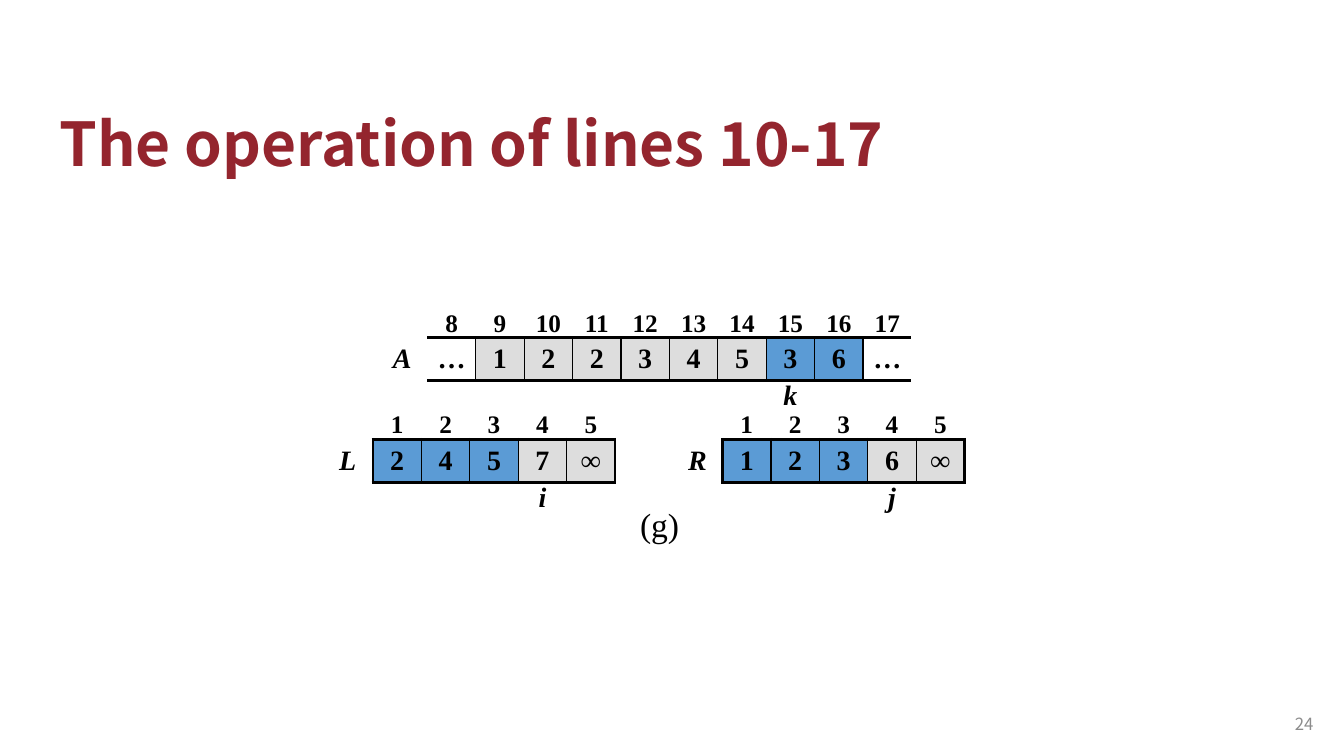
"""Build the slide that shows one step of merging the arrays L and R into A."""
from dataclasses import dataclass

from lxml import etree
from pptx import Presentation, util as u
from pptx.dml.color import RGBColor
from pptx.enum import text
from pptx.oxml.ns import qn


@dataclass(frozen=True)
class Theme:
    """Colours, fonts, type sizes and line widths of the slide."""
    accent: str = "94252E"
    ink: str = "000000"
    muted: str = "8C8C8C"
    grey: str = "DDDDDD"
    blue: str = "5B9BD5"
    sans: str = "Noto Sans CJK SC"
    serif: str = "Times New Roman"
    title: float = 43.2
    step: float = 24
    value: float = 20
    index: float = 18
    page: float = 12
    frame: float = 2.25
    rule: float = 1


@dataclass(frozen=True)
class Array:
    """An array with its first index, cell values, fills and pointer."""
    name: str
    left: float
    top: float
    first: int
    values: str
    fills: str
    pointer: str
    target: int
    closed: bool = True


@dataclass(frozen=True)
class Label:
    """A line of text with its box in centimetres."""
    words: str
    left: float
    top: float
    width: float
    height: float
    font: str
    size: float
    color: str
    align: text.PP_ALIGN = text.PP_ALIGN.LEFT
    anchor: text.MSO_ANCHOR = text.MSO_ANCHOR.TOP
    wrap: bool = True


THEME = Theme()
FILLS = {"g": THEME.grey, "b": THEME.blue}
NO_STYLE = "{2D5ABB26-0587-4C30-8999-92F81FD0307C}"
NAME_WIDTH, CELL_WIDTH = 1.27, 1.22
ROW_HEIGHTS = (0.99, 1.08, 0.99)
ROW_MARGINS = ((0.13, 0), (0.13, 0.13), (0, 0.13))
ROW_ANCHORS = (text.MSO_ANCHOR.BOTTOM, text.MSO_ANCHOR.MIDDLE, text.MSO_ANCHOR.TOP)
ROW_SIZES = (THEME.index, THEME.value, THEME.value)

ARRAYS = (
    Array("A", 9.5, 7.52, 8, "… 1 2 2 3 4 5 3 6 …", "-ggggggbb-", "k", 15, False),
    Array("L", 8.13, 10.08, 1, "2 4 5 7 ∞", "bbbgg", "i", 4),
    Array("R", 16.94, 10.08, 1, "1 2 3 6 ∞", "bbbgg", "j", 4),
)
LABELS = (
    Label("24", 31.83, 17.73, 1.52, 1.02, THEME.sans, THEME.page, THEME.muted,
          text.PP_ALIGN.RIGHT, text.MSO_ANCHOR.MIDDLE),
    Label("(g)", 15.88, 12.57, 1.5, 1.27, THEME.serif, THEME.step, THEME.ink, wrap=False),
)


def style(p, font: str, size: float, color: str, bold: bool = False,
          italic: bool = False) -> None:
    """Format the runs of a paragraph."""
    for r in p.runs:
        r.font.name, r.font.size = font, u.Pt(size)
        r.font.bold, r.font.italic = bold, italic
        r.font.color.rgb = RGBColor.from_string(color)


def set_borders(cell, widths: dict[str, float]) -> None:
    """Draw the given sides of a cell and clear the others."""
    tcPr = cell._tc.get_or_add_tcPr()
    for position, side in enumerate("LRTB"):
        ln = etree.Element(qn(f"a:ln{side}"))
        if side in widths:
            ln.set("w", str(u.Pt(widths[side])))
            fill = etree.SubElement(ln, qn("a:solidFill"))
            etree.SubElement(fill, qn("a:srgbClr"), val=THEME.ink)
        else:
            etree.SubElement(ln, qn("a:noFill"))
        tcPr.insert(position, ln)


def borders(array: Array, row: int, column: int, last: int) -> dict[str, float]:
    """Give the border widths for one cell of an array."""
    outer = {"frame": THEME.frame} if array.closed else {}
    if column == 0:
        return {"R": THEME.frame} if row == 1 and outer else {}
    if row != 1:
        return {"B" if row == 0 else "T": THEME.frame}
    sides = {"T": THEME.frame, "B": THEME.frame}
    for side, edge in (("L", 1), ("R", last)):
        if column != edge:
            sides[side] = THEME.rule
        elif outer:
            sides[side] = THEME.frame
    return sides


def add_array(s, array: Array) -> None:
    """Add an array as a table of indices, values and pointer."""
    values = array.values.split()
    last = len(values)
    indices = range(array.first, array.first + last)
    rows = (
        ["", *map(str, indices)],
        [array.name, *values],
        ["", *(array.pointer if i == array.target else "" for i in indices)],
    )
    frame = s.shapes.add_table(
        len(rows), last + 1, u.Cm(array.left), u.Cm(array.top),
        u.Cm(NAME_WIDTH + CELL_WIDTH * last), u.Cm(sum(ROW_HEIGHTS)))
    tbl = frame.table
    tbl.first_row = tbl.horz_banding = False
    frame._element.find(f".//{qn('a:tableStyleId')}").text = NO_STYLE
    for c, column in enumerate(tbl.columns):
        column.width = u.Cm(CELL_WIDTH if c else NAME_WIDTH)
    for r, words in enumerate(rows):
        tbl.rows[r].height = u.Cm(ROW_HEIGHTS[r])
        for c, word in enumerate(words):
            cell = tbl.cell(r, c)
            cell.margin_top, cell.margin_bottom = map(u.Cm, ROW_MARGINS[r])
            cell.vertical_anchor = ROW_ANCHORS[r]
            cell.text_frame.text = word
            p = cell.text_frame.paragraphs[0]
            p.alignment = text.PP_ALIGN.CENTER
            style(p, THEME.serif, ROW_SIZES[r], THEME.ink, True, r == 2 or c == 0)
            color = FILLS.get(array.fills[c - 1]) if r == 1 and c else None
            if color:
                cell.fill.solid()
                cell.fill.fore_color.rgb = RGBColor.from_string(color)
            else:
                cell.fill.background()
            set_borders(cell, borders(array, r, c, last))


def add_label(s, label: Label) -> None:
    """Add a text box."""
    sp = s.shapes.add_textbox(*map(u.Cm, (label.left, label.top, label.width, label.height)))
    tf = sp.text_frame
    tf.word_wrap, tf.vertical_anchor = label.wrap, label.anchor
    tf.text = label.words
    p = tf.paragraphs[0]
    p.alignment = label.align
    style(p, label.font, label.size, label.color)


def add_title(s, words: str) -> None:
    """Place and format the title."""
    sp = s.shapes.title
    sp.left, sp.top, sp.width, sp.height = map(u.Cm, (1.24, 2.24, 21.41, 2.41))
    tf = sp.text_frame
    tf.text = words
    tf.word_wrap, tf.auto_size = True, text.MSO_AUTO_SIZE.NONE
    tf.vertical_anchor = text.MSO_ANCHOR.BOTTOM
    p = tf.paragraphs[0]
    p.alignment, p.line_spacing = text.PP_ALIGN.LEFT, 0.9
    style(p, THEME.sans, THEME.title, THEME.accent, True)


def main() -> None:
    """Build and save the presentation."""
    prs = Presentation()
    prs.slide_width, prs.slide_height = u.Cm(33.87), u.Cm(19.05)
    s = prs.slides.add_slide(prs.slide_layouts[5])
    add_title(s, "The operation of lines 10-17")
    for array in ARRAYS:
        add_array(s, array)
    for label in LABELS:
        add_label(s, label)
    prs.save("out.pptx")


if __name__ == "__main__":
    main()
